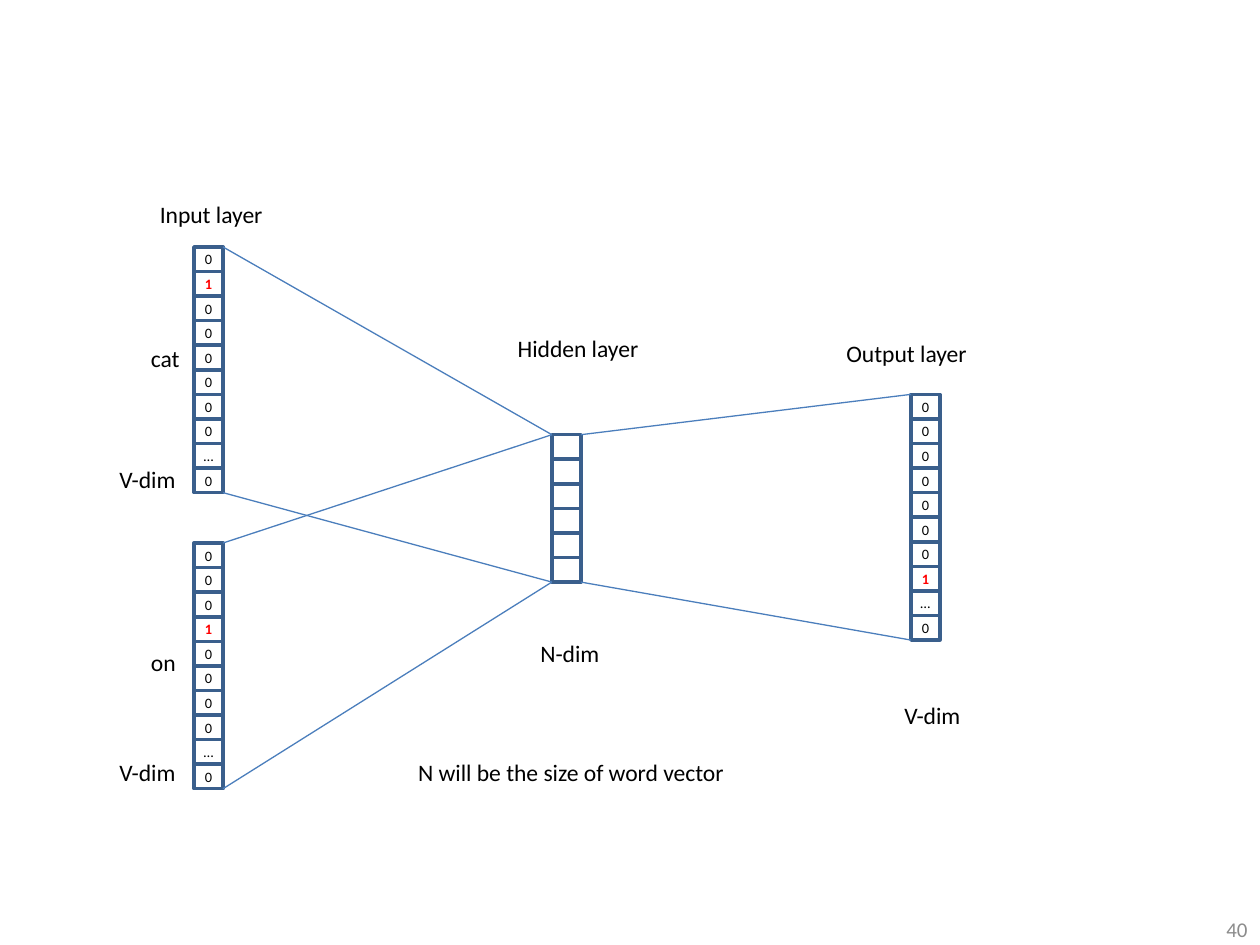
import pptx
import pptx.util
import pptx.dml.color
import pptx.enum.shapes
import pptx.enum.text
import pptx.oxml.ns
from lxml import etree
from pptx.util import Inches, Pt

COLORS = {"text": "000000", "hot": "FF0000", "cell": "3A5F8C",
          "link": "4B7EBC", "number": "8C8C8C"}
FONT = "Calibri"
CELL_WIDTH = 0.23
CELL_HEIGHT = 1.95 / 10  # ten cells fill 1.95 inches

# name: (left, top, cell values)
VECTORS = {
    "cat": (1.54, 1.96, ["0", "1", "0", "0", "0", "0", "0", "0", "…", "0"]),
    "on": (1.54, 4.31, ["0", "0", "0", "1", "0", "0", "0", "0", "…", "0"]),
    "hidden": (4.38, 3.45, [""] * 6),
    "output": (7.23, 3.13, ["0", "0", "0", "0", "0", "0", "0", "1", "…", "0"]),
}
LINKS = [("cat", "hidden"), ("on", "hidden"), ("hidden", "output")]

# text, left, top, width
LABELS = [
    ("Input layer", 1.17, 1.54, 1.03),
    ("Hidden layer", 4.01, 2.6, 1.18),
    ("Output layer", 6.62, 2.64, 1.17),
    ("cat", 1.1, 2.68, 0.43),
    ("on", 1.1, 5.09, 0.4),
    ("V-dim", 0.85, 3.64, 0.66),
    ("V-dim", 0.85, 5.97, 0.66),
    ("N-dim", 4.19, 5.02, 0.68),
    ("V-dim", 7.08, 5.51, 0.66),
    ("N will be the size of word vector", 3.22, 5.97, 2.66),
]
LABEL_HEIGHT = 0.33


def rgb(name):
    return pptx.dml.color.RGBColor.from_string(COLORS[name])


def write(frame, text, size, color="text", align="LEFT", bold=False):
    para = frame.paragraphs[0]
    para.text = text
    para.alignment = getattr(pptx.enum.text.PP_ALIGN, align)
    para.font.name = FONT
    para.font.size = Pt(size)
    para.font.bold = bold
    para.font.color.rgb = rgb(color)


def add_vector(slide, left, top, values):
    group = slide.shapes.add_group_shape()
    for row, value in enumerate(values):
        cell = group.shapes.add_shape(
            pptx.enum.shapes.MSO_SHAPE.RECTANGLE,
            Inches(left), Inches(top + row * CELL_HEIGHT),
            Inches(CELL_WIDTH), Inches(CELL_HEIGHT))
        cell.shadow.inherit = False
        cell.fill.background()
        cell.line.color.rgb = rgb("cell")
        cell.line.width = Pt(2)
        if value:
            frame = cell.text_frame
            frame.margin_left = frame.margin_right = 0
            frame.margin_top = frame.margin_bottom = 0
            frame.word_wrap = False
            frame.vertical_anchor = pptx.enum.text.MSO_ANCHOR.MIDDLE
            hot = value == "1"
            write(frame, value, 8.2, "hot" if hot else "text", "CENTER", hot)


def add_links(slide, source, target):
    """Join the top and bottom corners of two facing vectors."""
    source_left, source_top, source_values = VECTORS[source]
    target_left, target_top, target_values = VECTORS[target]
    for end in (0, 1):
        link = slide.shapes.add_connector(
            pptx.enum.shapes.MSO_CONNECTOR.STRAIGHT,
            Inches(source_left + CELL_WIDTH),
            Inches(source_top + end * len(source_values) * CELL_HEIGHT),
            Inches(target_left),
            Inches(target_top + end * len(target_values) * CELL_HEIGHT))
        link.line.color.rgb = rgb("link")
        link.line.width = Pt(0.75)
        etree.SubElement(link._element.spPr, pptx.oxml.ns.qn("a:effectLst"))


def add_text(slide, left, top, width, height):
    box = slide.shapes.add_textbox(
        Inches(left), Inches(top), Inches(width), Inches(height))
    return box.text_frame


def main():
    deck = pptx.Presentation()
    deck.slide_width, deck.slide_height = Inches(10), Inches(7.5)
    slide = deck.slides.add_slide(deck.slide_layouts[6])

    number = add_text(slide, 7.67, 7.25, 2.33, 0.25)
    number.word_wrap = True
    number.vertical_anchor = pptx.enum.text.MSO_ANCHOR.MIDDLE
    write(number, "40", 12, "number", "RIGHT")

    for left, top, values in VECTORS.values():
        add_vector(slide, left, top, values)
    for source, target in LINKS:
        add_links(slide, source, target)
    for text, left, top, width in LABELS:
        label = add_text(slide, left, top, width, LABEL_HEIGHT)
        label.word_wrap = False
        label.auto_size = pptx.enum.text.MSO_AUTO_SIZE.SHAPE_TO_FIT_TEXT
        write(label, text, 13.5)

    deck.save("out.pptx")


if __name__ == "__main__":
    main()
